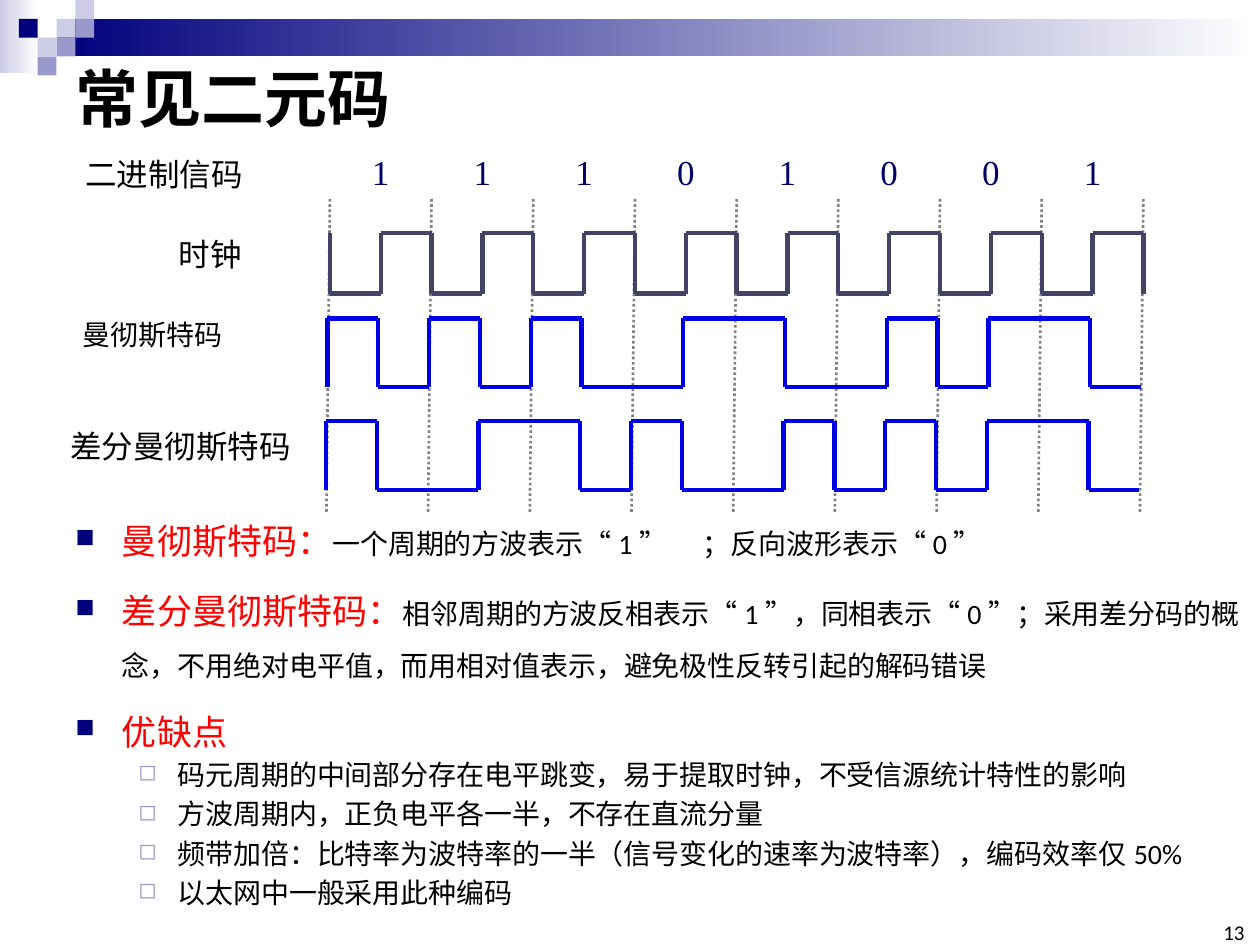
from lxml.etree import SubElement
from pptx import Presentation
from pptx.dml.color import RGBColor
from pptx.enum.dml import MSO_LINE
from pptx.enum.shapes import MSO_CONNECTOR, MSO_SHAPE
from pptx.enum.text import MSO_ANCHOR, PP_ALIGN
from pptx.oxml.ns import qn
from pptx.util import Cm, Pt

CJK = "Noto Sans CJK SC"
color = RGBColor.from_string


def format_run(run, size, hex_color, font="Calibri"):
    run.font.size = Pt(size)
    run.font.name = font
    run.font.color.rgb = color(hex_color)
    SubElement(run.font._element, qn("a:ea"), typeface=CJK)


def add_line(x1, y1, x2, y2, hex_color, width):
    line = slide.shapes.add_connector(
        MSO_CONNECTOR.STRAIGHT, Cm(x1), Cm(y1), Cm(x2), Cm(y2))
    line.line.color.rgb = color(hex_color)
    line.line.width = Pt(width)
    SubElement(line._element.spPr, qn("a:effectLst"))
    return line


presentation = Presentation()
presentation.slide_width, presentation.slide_height = Cm(25.4), Cm(19.05)
slide = presentation.slides.add_slide(presentation.slide_layouts[5])

# Header: two gradient bands, then squares on a grid (column, row)
UNIT = 0.38
header = [
    (0, 0, 0.79, 1.47, "CCCCE6", True),
    (3 * UNIT, UNIT, 24.26, 2 * UNIT, "00007D", True),
]
squares = [(3, 1, "CCCCE6"), (4, 0, "CCCCE6"), (4, 1, "9999CC"), (2, 2, "CCCCE6"),
           (1, 1, "00007D"), (3, 2, "9999CC"), (2, 3, "9999CC")]
header += [(column * UNIT, row * UNIT, UNIT, UNIT, fill, False)
           for column, row, fill in squares]
for left, top, width, height, fill, is_gradient in header:
    shape = slide.shapes.add_shape(
        MSO_SHAPE.RECTANGLE, Cm(left), Cm(top), Cm(width), Cm(height))
    shape.shadow.inherit = False
    shape.line.fill.background()
    if is_gradient:
        shape.fill.gradient()
        shape.fill.gradient_angle = 0
        for stop, position, stop_color in zip(
                shape.fill.gradient_stops, (0, 1), (fill, "FFFFFF")):
            stop.position = position
            stop.color.rgb = color(stop_color)
    else:
        shape.fill.solid()
        shape.fill.fore_color.rgb = color(fill)

# Title
title = slide.shapes.title
title.left, title.top, title.width, title.height = Cm(1.27), Cm(0.84), Cm(22.86), Cm(2.26)
title.text_frame.text = "常见二元码"
title.text_frame.vertical_anchor = MSO_ANCHOR.MIDDLE
title_paragraph = title.text_frame.paragraphs[0]
title_paragraph.alignment = PP_ALIGN.LEFT
format_run(title_paragraph.runs[0], 36, "000000", CJK)
title_paragraph.runs[0].font.bold = True

# Row labels
labels = [
    ("二进制信码", 1.47, 3.0, 3.89, 18),
    ("时钟", 3.35, 4.62, 1.8, 18),
    ("曼彻斯特码", 1.42, 6.27, 4.57, 16),
    ("差分曼彻斯特码", 1.17, 8.48, 5.44, 18),
]
for text, left, top, width, size in labels:
    label = slide.shapes.add_textbox(Cm(left), Cm(top), Cm(width), Cm(1.02))
    label.text_frame.word_wrap = True
    label.text_frame.text = text
    format_run(label.text_frame.paragraphs[0].runs[0], size, "000000")

# Bit values, one centred tab stop in each bit period
BITS = "11101001"
BIT_WIDTH = 2.05
GRID_LEFT = 6.65
bit_box = slide.shapes.add_textbox(Cm(6.48), Cm(2.9), Cm(17.4), Cm(1.12))
bit_box.text_frame.word_wrap = True
bit_box.text_frame.margin_left = 0
bit_box.text_frame.text = "".join("\t" + bit for bit in BITS)
bit_paragraph = bit_box.text_frame.paragraphs[0]
tab_list = SubElement(bit_paragraph._p.get_or_add_pPr(), qn("a:tabLst"))
for index in range(len(BITS)):
    position = GRID_LEFT - 6.48 + (index + 0.5) * BIT_WIDTH
    SubElement(tab_list, qn("a:tab"), pos=str(Cm(position)), algn="ctr")
for run in bit_paragraph.runs:
    format_run(run, 20, "000066", "Times New Roman")

# Dotted period boundaries, leaning slightly left
for index in range(len(BITS) + 1):
    x = GRID_LEFT + index * BIT_WIDTH
    guide = add_line(x, 4.01, x - 0.07, 10.34, "808080", 1.5)
    guide.line.dash_style = MSO_LINE.ROUND_DOT

# Half-period levels: H is high, L is low
clock = "LH" * len(BITS)
manchester = "".join("HL" if bit == "1" else "LH" for bit in BITS)
differential = ""
period = "LH"
for bit in BITS:
    if bit == "1":
        period = period[::-1]
    differential += period

# Waveforms: levels, level before, level after, left, high y, low y, colour
waveforms = [
    (clock, "H", "L", 6.65, 4.7, 5.92, "434365"),
    (manchester, "L", "L", 6.6, 6.42, 7.8, "0000E4"),
    (differential, "L", "L", 6.57, 8.49, 9.88, "0000E4"),
]
for levels, before, after, left, high, low, hex_color in waveforms:
    y_of = {"H": high, "L": low}
    for index, (previous, level) in enumerate(zip(before + levels, levels + after)):
        x = left + index * BIT_WIDTH / 2
        if previous != level:
            add_line(x, low, x, high, hex_color, 2.5)
        if index < len(levels):
            add_line(x, y_of[level], x + BIT_WIDTH / 2, y_of[level], hex_color, 2.5)

# Explanation: level, red heading, black text
points = [
    (0, "曼彻斯特码：", "一个周期的方波表示“1”\t；反向波形表示“0”"),
    (0, "差分曼彻斯特码：", "相邻周期的方波反相表示“1”，同相表示“0”；采用差分码的概念，"
     "不用绝对电平值，而用相对值表示，避免极性反转引起的解码错误"),
    (0, "优缺点", ""),
    (1, "", "码元周期的中间部分存在电平跳变，易于提取时钟，不受信源统计特性的影响"),
    (1, "", "方波周期内，正负电平各一半，不存在直流分量"),
    (1, "", "频带加倍：比特率为波特率的一半（信号变化的速率为波特率），编码效率仅50%"),
    (1, "", "以太网中一般采用此种编码"),
]
bullets = [("■", "00007D", "75000", 0.94, 0.94), ("◻", "9999CC", "80000", 2.06, 0.79)]
body = slide.shapes.add_textbox(Cm(1.27), Cm(9.93), Cm(24.13), Cm(9.12))
body.text_frame.word_wrap = True
for index, (level, heading, text) in enumerate(points):
    paragraph = body.text_frame.paragraphs[0] if index == 0 else body.text_frame.add_paragraph()
    paragraph.level = level
    paragraph.line_spacing = 1.0 if level else 1.5
    if index:
        paragraph.space_before = Pt(3.2 if level else 4)
    character, bullet_color, bullet_size, margin, hanging = bullets[level]
    properties = paragraph._p.get_or_add_pPr()
    properties.set("marL", str(Cm(margin)))
    properties.set("indent", str(-Cm(hanging)))
    SubElement(SubElement(properties, qn("a:buClr")), qn("a:srgbClr"), val=bullet_color)
    SubElement(properties, qn("a:buSzPct"), val=bullet_size)
    SubElement(properties, qn("a:buChar"), char=character)
    if "\t" in text:
        tab_list = SubElement(properties, qn("a:tabLst"))
        SubElement(tab_list, qn("a:tab"), pos=str(Cm(12.65)), algn="l")
    for part, size, hex_color in ((heading, 20, "FF0000"), (text, 16, "000000")):
        if part:
            run = paragraph.add_run()
            run.text = part
            format_run(run, size, hex_color)

# Slide number
number_box = slide.shapes.add_textbox(Cm(24.51), Cm(18.62), Cm(0.58), Cm(0.43))
number_frame = number_box.text_frame
number_frame.margin_left = number_frame.margin_right = 0
number_frame.margin_top = number_frame.margin_bottom = 0
number_frame.vertical_anchor = MSO_ANCHOR.BOTTOM
number_frame.text = "13"
number_frame.paragraphs[0].alignment = PP_ALIGN.RIGHT
format_run(number_frame.paragraphs[0].runs[0], 12, "000000")

presentation.save("out.pptx")
